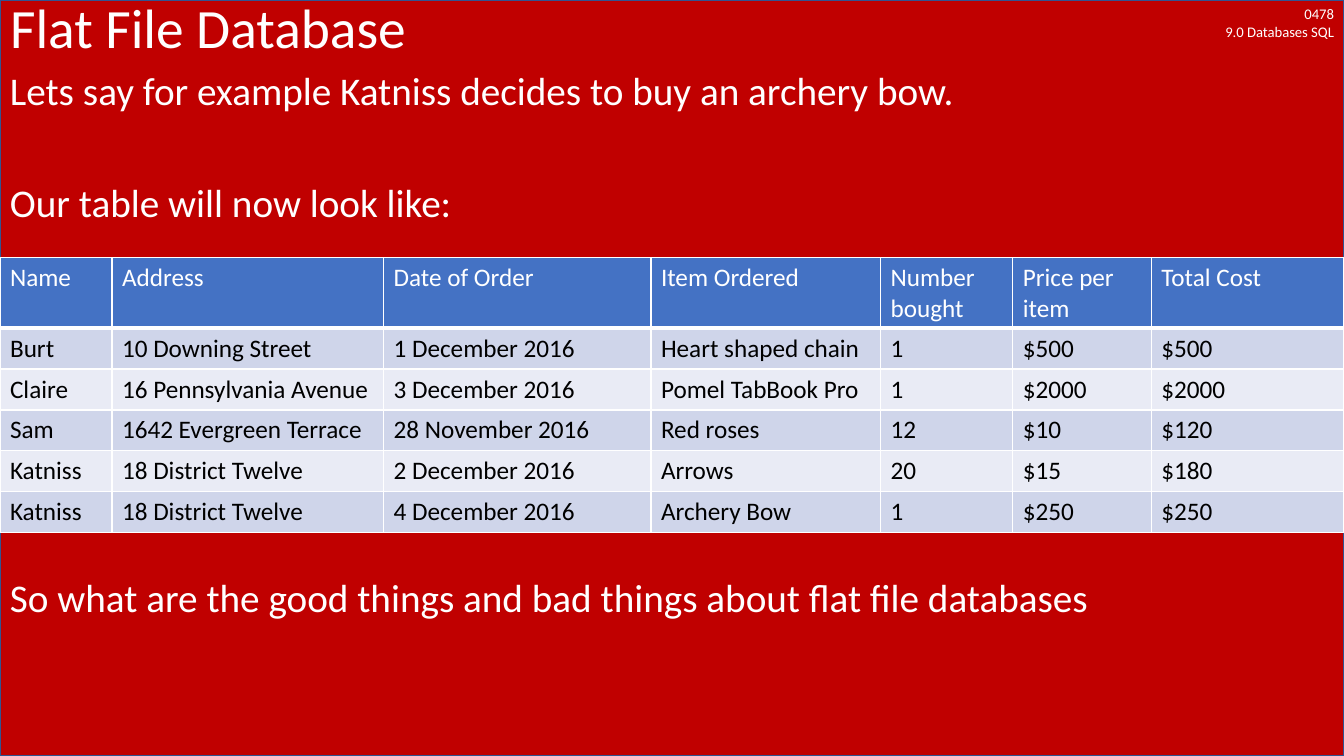
from lxml.etree import SubElement
from pptx import Presentation
from pptx.dml.color import RGBColor
from pptx.enum.shapes import MSO_SHAPE
from pptx.enum.text import MSO_ANCHOR, MSO_AUTO_SIZE, PP_ALIGN
from pptx.oxml.ns import qn
from pptx.util import Pt

RED = RGBColor(0xC0, 0x00, 0x00)
EDGE = RGBColor(0x32, 0x54, 0x91)
BLUE = RGBColor(0x44, 0x72, 0xC4)
DARK = RGBColor(0xCF, 0xD5, 0xEA)
LIGHT = RGBColor(0xE9, 0xEB, 0xF5)
WHITE = RGBColor(0xFF, 0xFF, 0xFF)
BLACK = RGBColor(0x00, 0x00, 0x00)


def add_run(para, text, size, color=WHITE):
    run = para.add_run()
    run.text = text
    run.font.name = "Calibri"
    run.font.size = Pt(size)
    run.font.bold = False
    run.font.color.rgb = color


def add_line(cell, side, width):
    line = SubElement(cell._tc.get_or_add_tcPr(), qn("a:" + side), w=str(Pt(width)))
    fill = SubElement(line, qn("a:solidFill"))
    SubElement(fill, qn("a:srgbClr"), val=str(WHITE))


prs = Presentation()
prs.slide_width = Pt(960)
prs.slide_height = Pt(540)
slide = prs.slides.add_slide(prs.slide_layouts[5])
shapes = slide.shapes
title = shapes.title

back = shapes.add_shape(MSO_SHAPE.RECTANGLE, Pt(0), Pt(0), Pt(960), Pt(540))
back.shadow.inherit = False
back.fill.solid()
back.fill.fore_color.rgb = RED
back.line.color.rgb = EDGE
back.line.width = Pt(1)
title.element.addprevious(back.element)

unit = shapes.add_textbox(Pt(782), Pt(0), Pt(178), Pt(32.4))
unit.text_frame.word_wrap = True
para = unit.text_frame.paragraphs[0]
para.alignment = PP_ALIGN.RIGHT
add_run(para, "0478", 10.5)
para.add_line_break()
add_run(para, "9.0 Databases SQL", 10.5)

title.left, title.top, title.width, title.height = Pt(0), Pt(0), Pt(960), Pt(44)
frame = title.text_frame
frame.auto_size = MSO_AUTO_SIZE.NONE
frame.vertical_anchor = MSO_ANCHOR.MIDDLE
para = frame.paragraphs[0]
para.alignment = PP_ALIGN.LEFT
para.line_spacing = 0.9
add_run(para, "Flat File Database", 39.6)

body = shapes.add_textbox(Pt(0), Pt(47.5), Pt(960), Pt(492.5))
frame = body.text_frame
frame.word_wrap = True
lines = [
    ("Lets say for example Katniss decides to buy an archery bow.", 10),
    ("Our table will now look like:", 50),
    ("So what are the good things and bad things about flat file databases", 252),
]
for i, (text, gap) in enumerate(lines):
    para = frame.add_paragraph() if i else frame.paragraphs[0]
    para.line_spacing = 0.9
    para.space_before = Pt(gap)
    add_run(para, text, 28)

rows = [
    ("Name", "Address", "Date of Order", "Item Ordered",
     "Number bought", "Price per item", "Total Cost"),
    ("Burt", "10 Downing Street", "1 December 2016", "Heart shaped chain",
     "1", "$500", "$500"),
    ("Claire", "16 Pennsylvania Avenue", "3 December 2016", "Pomel TabBook Pro",
     "1", "$2000", "$2000"),
    ("Sam", "1642 Evergreen Terrace", "28 November 2016", "Red roses",
     "12", "$10", "$120"),
    ("Katniss", "18 District Twelve", "2 December 2016", "Arrows",
     "20", "$15", "$180"),
    ("Katniss", "18 District Twelve", "4 December 2016", "Archery Bow",
     "1", "$250", "$250"),
]
widths = [80, 194, 191, 164, 94.5, 99, 137.5]
table = shapes.add_table(
    len(rows), len(widths), Pt(0), Pt(184), Pt(960), Pt(29.2 * len(rows))
).table
for col, width in zip(table.columns, widths):
    col.width = Pt(width)
for r, row in enumerate(rows):
    table.rows[r].height = Pt(29.2)
    for c, text in enumerate(row):
        cell = table.cell(r, c)
        for side in ("lnL", "lnR", "lnT", "lnB"):
            add_line(cell, side, 3 if r == 0 and side == "lnB" else 1)
        cell.fill.solid()
        cell.fill.fore_color.rgb = (DARK if r % 2 else LIGHT) if r else BLUE
        add_run(cell.text_frame.paragraphs[0], text, 18, BLACK if r else WHITE)

prs.save("out.pptx")
